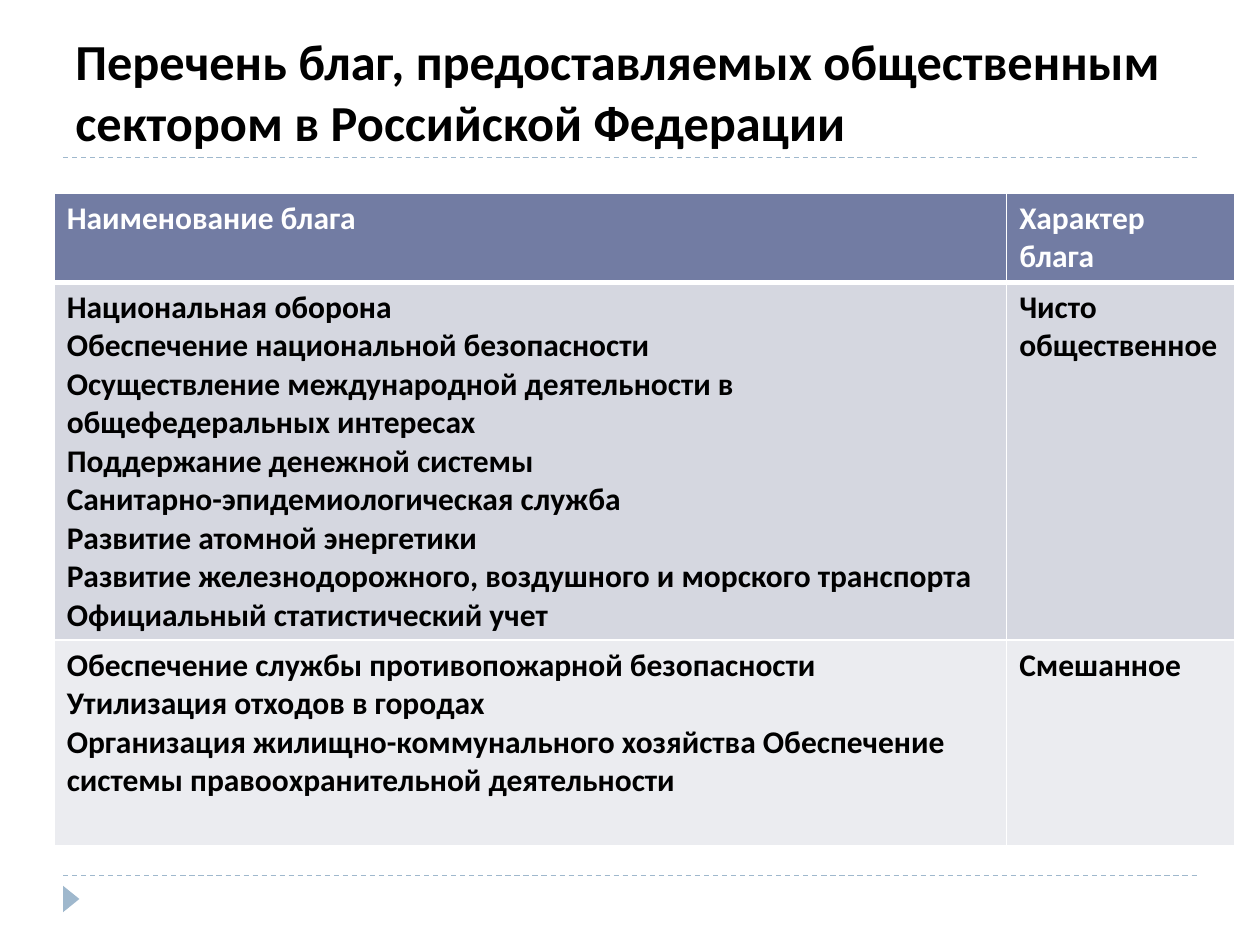
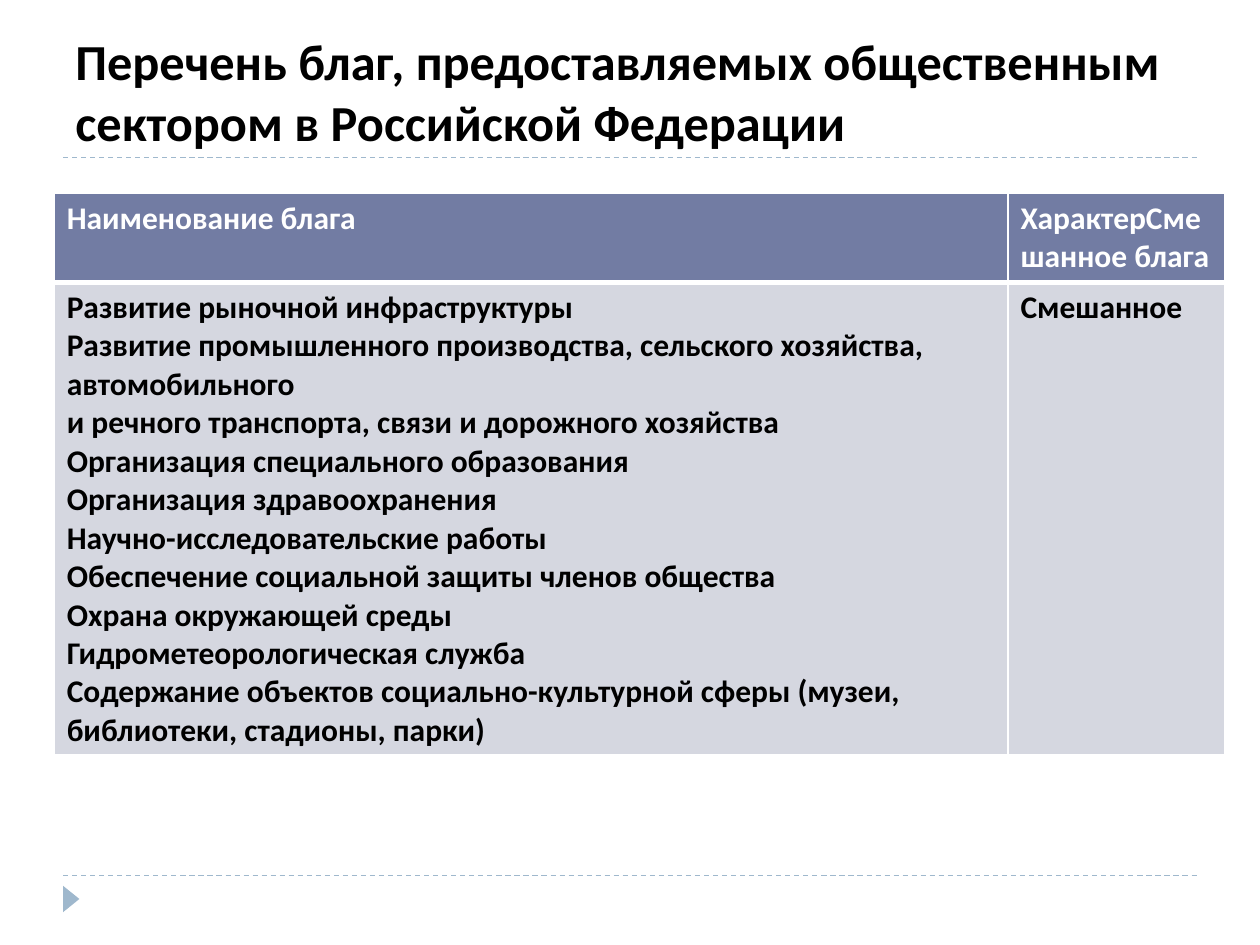
from dataclasses import dataclass

from lxml import etree
from pptx import Presentation
from pptx import util as u
from pptx.dml.color import RGBColor
from pptx.enum import dml, shapes, text
from pptx.oxml import ns

Inches = u.Inches


@dataclass(frozen=True)
class Theme:
    font: str = "Calibri"
    title_size: float = 28.8
    table_size: float = 18
    dark: str = "000000"
    light: str = "FFFFFF"
    accent: str = "9FB8CD"
    header: str = "727CA3"
    bands: tuple[str, ...] = ("D5D7E0", "EBECF0")
    thin: float = 1
    thick: float = 3


@dataclass(frozen=True)
class Row:
    height: float
    goods: tuple[str, ...]
    nature: str


@dataclass(frozen=True)
class GoodsTable:
    widths: tuple[float, float]
    rows: tuple[Row, ...]


THEME = Theme()
TITLE = "Перечень благ, предоставляемых общественным сектором в Российской Федерации"
RULE_HEIGHTS = (6.95, 1.25)
MARGIN, CONTENT_WIDTH = 0.5, 9
TABLE_LEFT, TABLE_TOP = 0.43, 1.53
HEADER_HEIGHT = 0.71
GOODS_HEADING = ("Наименование блага",)

TABLES = (
    GoodsTable((7.56, 1.81), (
        Row(HEADER_HEIGHT, GOODS_HEADING, "Характер блага"),
        Row(2.84, (
            "Национальная оборона",
            "Обеспечение национальной безопасности",
            "Осуществление международной деятельности в общефедеральных интересах",
            "Поддержание денежной системы",
            "Санитарно-эпидемиологическая служба",
            "Развитие атомной энергетики",
            "Развитие железнодорожного, воздушного и морского транспорта",
            "Официальный статистический учет",
        ), "Чисто общественное"),
        Row(1.63, (
            "Обеспечение службы противопожарной безопасности",
            "Утилизация отходов в городах",
            "Организация жилищно-коммунального хозяйства Обеспечение "
            "системы правоохранительной деятельности",
        ), "Смешанное"),
    )),
    GoodsTable((7.57, 1.72), (
        Row(HEADER_HEIGHT, GOODS_HEADING, "ХарактерСмешанное блага"),
        Row(3.75, (
            "Развитие рыночной инфраструктуры",
            "Развитие промышленного производства, сельского хозяйства, автомобильного",
            "и речного транспорта, связи и дорожного хозяйства",
            "Организация специального образования",
            "Организация здравоохранения",
            "Научно-исследовательские работы",
            "Обеспечение социальной защиты членов общества",
            "Охрана окружающей среды",
            "Гидрометеорологическая служба",
            "Содержание объектов социально-культурной сферы (музеи, "
            "библиотеки, стадионы, парки)",
        ), "Смешанное"),
    )),
)


def write(frame, lines: tuple[str, ...], size: float, color: str) -> None:
    """Put one bold paragraph per line into a text frame."""
    settings = {"name": THEME.font, "size": u.Pt(size), "bold": True}
    for index, line in enumerate(lines):
        para = frame.paragraphs[0] if index == 0 else frame.add_paragraph()
        span = para.add_run()
        span.text = line
        for name, value in settings.items():
            setattr(span.font, name, value)
        span.font.color.rgb = RGBColor.from_string(color)


def draw_frame(page) -> None:
    """Dashed rules, footer marker and title shared by the slides."""
    for height in RULE_HEIGHTS:
        rule = page.shapes.add_connector(
            shapes.MSO_CONNECTOR.STRAIGHT, Inches(MARGIN), Inches(height),
            Inches(MARGIN + CONTENT_WIDTH), Inches(height))
        rule.line.color.rgb = RGBColor.from_string(THEME.accent)
        rule.line.width = u.Pt(0.75)
        rule.line.dash_style = dml.MSO_LINE.DASH
        etree.SubElement(rule._element.spPr, ns.qn("a:effectLst"))

    marker = page.shapes.add_shape(
        shapes.MSO_SHAPE.ISOSCELES_TRIANGLE,
        Inches(0.46), Inches(7.07), Inches(0.21), Inches(0.13))
    marker.rotation = 90
    marker.shadow.inherit = False
    marker.fill.solid()
    marker.fill.fore_color.rgb = RGBColor.from_string(THEME.accent)
    marker.line.fill.background()

    box = page.shapes.add_textbox(
        Inches(MARGIN), Inches(0.25), Inches(CONTENT_WIDTH), Inches(1))
    box.text_frame.word_wrap = True
    box.text_frame.vertical_anchor = text.MSO_ANCHOR.BOTTOM
    write(box.text_frame, (TITLE,), THEME.title_size, THEME.dark)


def draw_borders(cell, row_index: int) -> None:
    """White cell edges, heavier between the header and the body."""
    widths = {
        "lnL": THEME.thin,
        "lnR": THEME.thin,
        "lnT": THEME.thick if row_index == 1 else THEME.thin,
        "lnB": THEME.thick if row_index == 0 else THEME.thin,
    }
    properties = cell._tc.get_or_add_tcPr()
    for edge, width in widths.items():
        line = etree.SubElement(properties, ns.qn(f"a:{edge}"), w=str(u.Pt(width)))
        fill = etree.SubElement(line, ns.qn("a:solidFill"))
        etree.SubElement(fill, ns.qn("a:srgbClr"), val=THEME.light)


def draw_table(page, goods_table: GoodsTable) -> None:
    rows, widths = goods_table.rows, goods_table.widths
    table = page.shapes.add_table(
        len(rows), len(widths), Inches(TABLE_LEFT), Inches(TABLE_TOP),
        Inches(sum(widths)), Inches(sum(row.height for row in rows))).table
    for column, width in zip(table.columns, widths):
        column.width = Inches(width)
    for row_index, row in enumerate(rows):
        table.rows[row_index].height = Inches(row.height)
        is_header = row_index == 0
        fill = THEME.header if is_header else THEME.bands[(row_index - 1) % 2]
        color = THEME.light if is_header else THEME.dark
        for column_index, lines in enumerate((row.goods, (row.nature,))):
            cell = table.cell(row_index, column_index)
            draw_borders(cell, row_index)
            cell.fill.solid()
            cell.fill.fore_color.rgb = RGBColor.from_string(fill)
            write(cell.text_frame, lines, THEME.table_size, color)


def main() -> None:
    deck = Presentation()
    deck.slide_width, deck.slide_height = Inches(10), Inches(7.5)
    for goods_table in TABLES:
        page = deck.slides.add_slide(deck.slide_layouts[6])
        draw_frame(page)
        draw_table(page, goods_table)
    deck.save("out.pptx")


if __name__ == "__main__":
    main()
